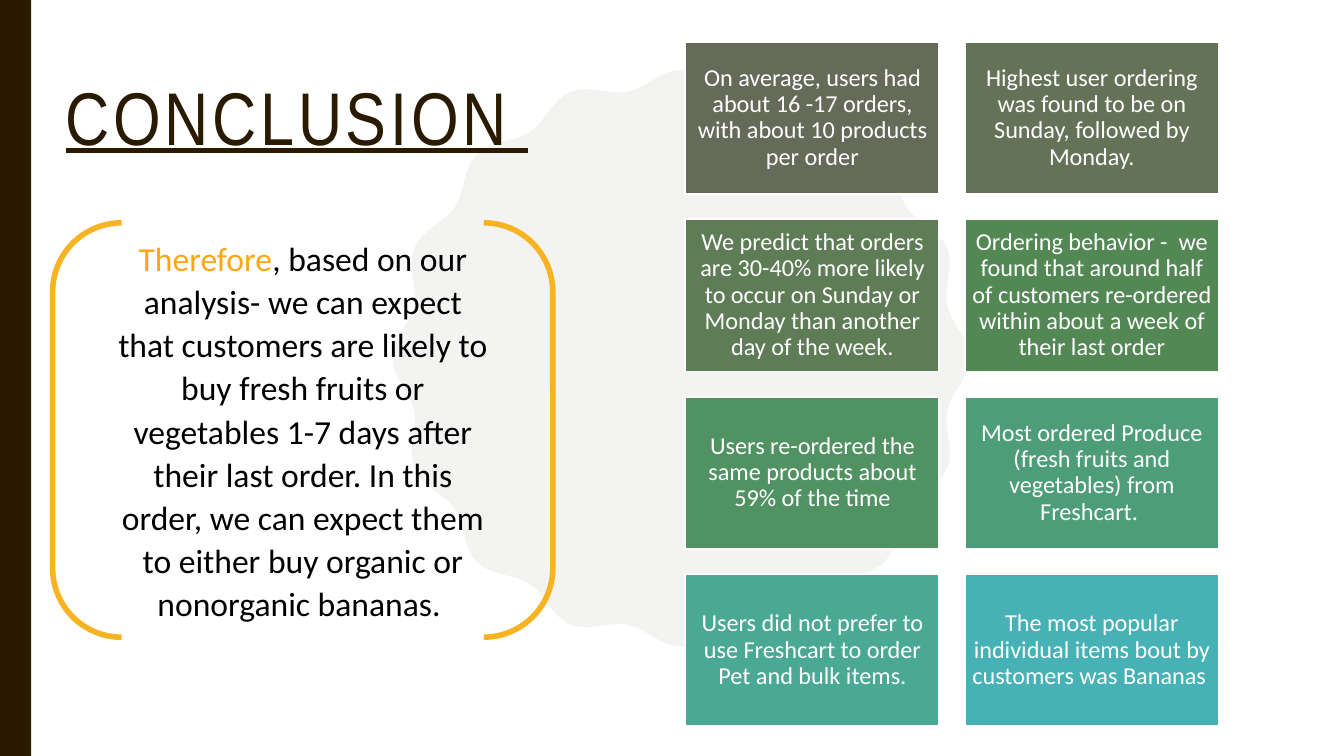
from math import cos, pi, sin

from pptx import Presentation
from pptx.dml.color import RGBColor
from pptx.enum.shapes import MSO_SHAPE
from pptx.enum.text import MSO_ANCHOR, MSO_AUTO_SIZE, PP_ALIGN
from pptx.oxml.ns import qn
from pptx.util import Pt

COLORS = {
    "dark": "2A1A00",
    "pale": "F3F3F2",
    "white": "FFFFFF",
    "black": "000000",
    "gold": "F8B323",
    "orange": "FFA615",
}

CARDS = [
    ("656A59", "On average, users had about 16 -17 orders, with about 10 products per order"),
    ("647358", "Highest user ordering was found to be on Sunday, followed by Monday."),
    ("5E7D56", "We predict that orders are 30-40% more likely to occur on Sunday or "
               "Monday than another day of the week."),
    ("538855", "Ordering behavior -  we found that around half of customers re-ordered "
               "within about a week of their last order"),
    ("519263", "Users re-ordered the same products about 59% of the time"),
    ("4D9E78", "Most ordered Produce (fresh fruits and vegetables) from Freshcart. "),
    ("4AA994", "Users did not prefer to use Freshcart to order Pet and bulk items."),
    ("46B2B5", "The most popular individual items bout by customers was Bananas "),
]

LEAD = "Therefore"
REST = (", based on our analysis- we can expect that customers are likely to buy fresh "
        "fruits or vegetables 1-7 days after their last order. In this order, we can "
        "expect them to either buy organic or nonorganic bananas. ")

# Format values
TITLE_FONT = {"name": "Arial Narrow", "size": Pt(40), "underline": True, "bold": False}
BODY_FONT = {"name": "Calibri", "size": Pt(18)}
CARD_FONT = {"name": "Calibri", "size": Pt(13)}
TITLE_PAR = {"alignment": PP_ALIGN.LEFT, "line_spacing": 0.9,
             "space_before": Pt(0), "space_after": Pt(6)}
BODY_PAR = {"alignment": PP_ALIGN.CENTER, "line_spacing": 1.07,
            "space_before": Pt(0), "space_after": Pt(8)}
CARD_PAR = {"alignment": PP_ALIGN.CENTER, "line_spacing": 0.9}


def style(item, values):
    for name, value in values.items():
        setattr(item, name, value)


def place(shape, left, top, width, height):
    style(shape, {"left": Pt(left), "top": Pt(top),
                  "width": Pt(width), "height": Pt(height)})


def set_frame(frame, anchor, side, edge):
    style(frame, {"word_wrap": True, "auto_size": MSO_AUTO_SIZE.NONE,
                  "vertical_anchor": anchor,
                  "margin_left": Pt(side), "margin_right": Pt(side),
                  "margin_top": Pt(edge), "margin_bottom": Pt(edge)})


def add_run(par, text, font, color):
    run = par.add_run()
    run.text = text
    style(run.font, font)
    run.font.color.rgb = RGBColor.from_string(color)
    return run


def paint(shape, fill=None, line=None, weight=1):
    shape.shadow.inherit = False
    if fill:
        shape.fill.solid()
        shape.fill.fore_color.rgb = RGBColor.from_string(fill)
    else:
        shape.fill.background()
    if line:
        shape.line.color.rgb = RGBColor.from_string(line)
        shape.line.width = Pt(weight)
    else:
        shape.line.fill.background()


def add_form(slide, kind, box, **look):
    shape = slide.shapes.add_shape(kind, *map(Pt, box))
    paint(shape, **look)
    return shape


def add_blob(slide, mid_x, mid_y, radius, swing, waves):
    """Circle whose radius swings in even waves."""
    steps = waves * 16
    points = []
    for i in range(steps):
        turn = 2 * pi * i / steps
        reach = radius + swing * cos(waves * turn)
        points.append((Pt(mid_x + reach * sin(turn)), Pt(mid_y - reach * cos(turn))))
    form = slide.shapes.build_freeform(*points[0])
    form.add_line_segments(points[1:], close=True)
    paint(form.convert_to_shape(), fill=COLORS["pale"])


def set_title(slide):
    title = slide.shapes.title
    place(title, 28, 36, 717, 54.7)
    set_frame(title.text_frame, MSO_ANCHOR.TOP, 7.2, 7.2)
    par = title.text_frame.paragraphs[0]
    style(par, TITLE_PAR)
    run = add_run(par, "CONCLUSION ", TITLE_FONT, COLORS["dark"])
    run.font._element.set("spc", "200")
    return title


def set_body(slide):
    body = slide.placeholders[1]
    place(body, 53.3, 122.4, 218, 216)
    set_frame(body.text_frame, MSO_ANCHOR.TOP, 7.2, 3.6)
    par = body.text_frame.paragraphs[0]
    style(par, BODY_PAR)
    add_run(par, LEAD, BODY_FONT, COLORS["orange"])
    add_run(par, REST, BODY_FONT, COLORS["black"])
    # No bullet and no indent
    props = par._p.get_or_add_pPr()
    props.set("marL", "0")
    props.set("indent", "0")
    props.append(props.makeelement(qn("a:buNone"), {}))
    return body


def add_card(slide, box, fill, text):
    card = add_form(slide, MSO_SHAPE.RECTANGLE, box, fill=fill, line=COLORS["white"])
    set_frame(card.text_frame, MSO_ANCHOR.MIDDLE, 3.6, 3.6)
    par = card.text_frame.paragraphs[0]
    style(par, CARD_PAR)
    add_run(par, text, CARD_FONT, COLORS["white"])


def main():
    deck = Presentation()
    deck.slide_width, deck.slide_height = Pt(720), Pt(405)
    slide = deck.slides.add_slide(deck.slide_layouts[1])

    # Backdrop
    add_blob(slide, 364.7, 191.9, 150, 4.4, 16)
    add_form(slide, MSO_SHAPE.RECTANGLE, (0, 0, 16.7, 405), fill=COLORS["dark"])

    # Title and summary, in front of the backdrop
    for holder in (set_title(slide), set_body(slide)):
        slide.shapes._spTree.append(holder._element)

    # Findings in two columns
    for i, (fill, text) in enumerate(CARDS):
        row, col = divmod(i, 2)
        add_card(slide, (367.2 + col * 149.7, 22.3 + row * 95.1, 136, 81.6), fill, text)

    # Bracket around the summary
    add_form(slide, MSO_SHAPE.DOUBLE_BRACKET, (28.2, 119.4, 268, 222),
             line=COLORS["gold"], weight=3)

    deck.save("out.pptx")


if __name__ == "__main__":
    main()
